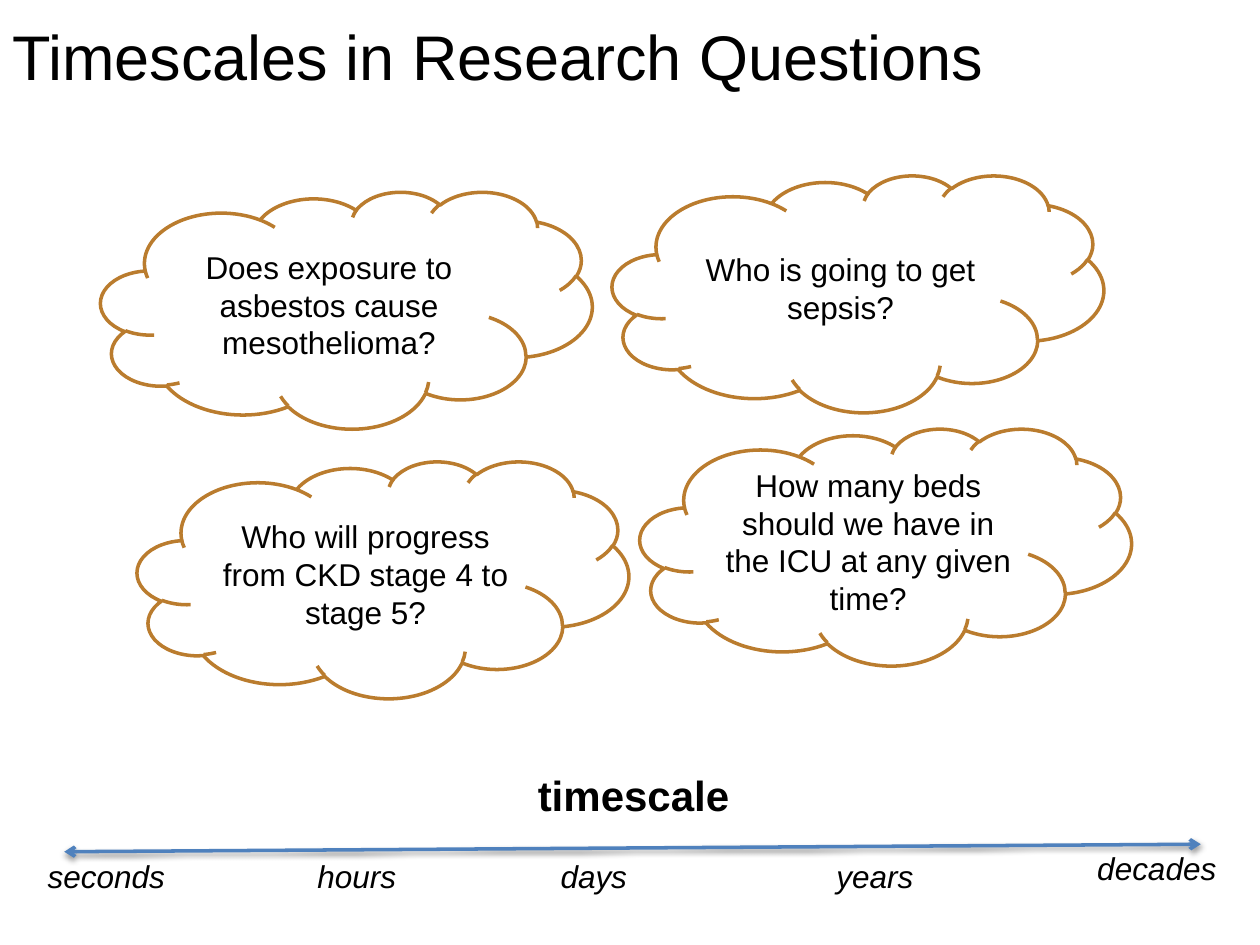
from lxml.etree import SubElement
from pptx import Presentation
from pptx.dml.color import RGBColor
from pptx.enum.shapes import MSO_CONNECTOR, MSO_SHAPE
from pptx.enum.text import MSO_ANCHOR, MSO_AUTO_SIZE, PP_ALIGN
from pptx.oxml.ns import qn
from pptx.util import Inches, Pt

BLACK = RGBColor(0x00, 0x00, 0x00)
WHITE = RGBColor(0xFF, 0xFF, 0xFF)
BROWN = RGBColor(0xBA, 0x7C, 0x2E)
BLUE = RGBColor(0x4F, 0x81, 0xBD)

CLOUDS = [
    (0.8, 1.52, "Does exposure to asbestos cause mesothelioma?"),
    (1.09, 3.66, "Who will progress from CKD stage 4 to stage 5?"),
    (5.08, 3.4, "How many beds should we have in the ICU at any given time?"),
    (4.86, 1.39, "Who is going to get sepsis?"),
]
UNITS = [
    (0.28, 6.75, 1.2, "seconds"),
    (2.42, 6.75, 0.89, "hours"),
    (4.35, 6.75, 0.79, "days"),
    (6.54, 6.75, 0.87, "years"),
    (8.61, 6.69, 1.21, "decades"),
]


class Board:
    """Holds the text style and the current slide."""

    base = {"name": "Arial", "size": Pt(18)}

    def __init__(self, slide):
        self.slide = slide
        self.shapes = slide.shapes

    def words(self, frame, text, **form):
        run = frame.paragraphs[0].add_run()
        run.text = text
        for key, value in {**self.base, **form}.items():
            setattr(run.font, key, value)
        run.font.color.rgb = BLACK

    def title(self, text):
        box = self.shapes.add_textbox(0, 0, Inches(10), Inches(0.84))
        frame = box.text_frame
        form = {"word_wrap": True, "vertical_anchor": MSO_ANCHOR.BOTTOM,
                "margin_top": Inches(0.1), "margin_bottom": Inches(0.1)}
        for key, value in form.items():
            setattr(frame, key, value)
        self.words(frame, text, size=Pt(36))

    def label(self, left, top, width, height, text, **form):
        box = self.shapes.add_textbox(
            Inches(left), Inches(top), Inches(width), Inches(height))
        frame = box.text_frame
        frame.word_wrap = False
        frame.auto_size = MSO_AUTO_SIZE.SHAPE_TO_FIT_TEXT
        self.words(frame, text, **form)

    def cloud(self, left, top, text):
        cloud = self.shapes.add_shape(
            MSO_SHAPE.CLOUD, Inches(left), Inches(top), Inches(3.9), Inches(1.88))
        cloud.shadow.inherit = False
        cloud.fill.solid()
        cloud.fill.fore_color.rgb = WHITE
        cloud.line.color.rgb = BROWN
        cloud.line.width = Pt(2)
        frame = cloud.text_frame
        frame.word_wrap = True
        frame.vertical_anchor = MSO_ANCHOR.MIDDLE
        frame.paragraphs[0].alignment = PP_ALIGN.CENTER
        self.words(frame, text)

    def arrow(self, x1, y1, x2, y2):
        line = self.shapes.add_connector(
            MSO_CONNECTOR.STRAIGHT, Inches(x1), Inches(y1), Inches(x2), Inches(y2))
        line.line.color.rgb = BLUE
        line.line.width = Pt(2)
        # Open heads at both ends
        props = line._element.spPr
        edge = props.find(qn("a:ln"))
        for end in ("a:headEnd", "a:tailEnd"):
            SubElement(edge, qn(end), type="arrow")
        # Soft shadow straight below
        effect = SubElement(props, qn("a:effectLst"))
        shade = SubElement(
            effect, qn("a:outerShdw"), blurRad=str(Pt(3.1)), dist=str(Pt(1.6)),
            dir="5400000", rotWithShape="0")
        color = SubElement(shade, qn("a:srgbClr"), val=str(BLACK))
        SubElement(color, qn("a:alpha"), val="38000")


def main():
    deck = Presentation()
    deck.slide_width, deck.slide_height = Inches(10), Inches(7.5)
    board = Board(deck.slides.add_slide(deck.slide_layouts[6]))

    # Heading
    board.title("Timescales in Research Questions")

    # Research questions
    for cloud in CLOUDS:
        board.cloud(*cloud)

    # Time axis
    board.arrow(0.51, 6.76, 9.53, 6.7)
    for left, top, width, text in UNITS:
        board.label(left, top, width, 0.4, text, italic=True)
    board.label(4.17, 6.06, 1.74, 0.5, "timescale", size=Pt(24), bold=True)

    deck.save("out.pptx")


if __name__ == "__main__":
    main()
